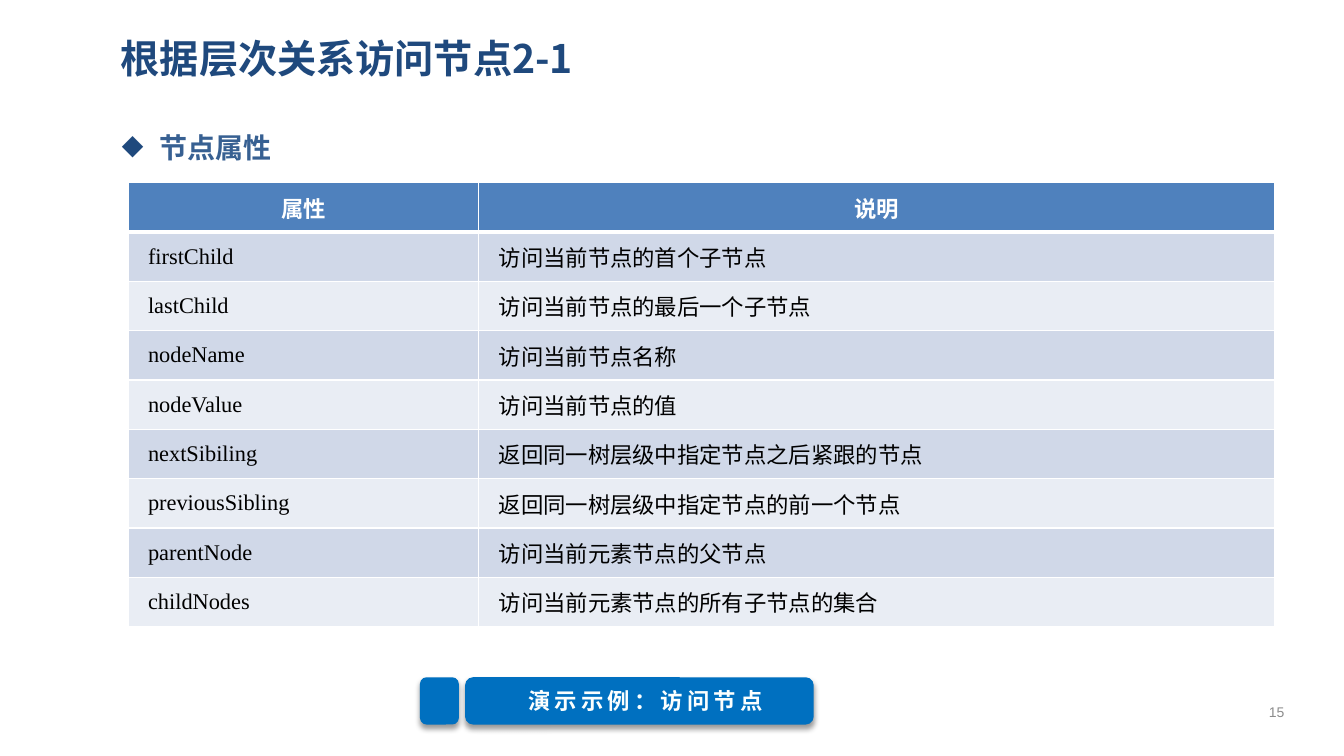
from lxml.etree import SubElement
from pptx import Presentation
from pptx.dml.color import RGBColor
from pptx.enum.shapes import MSO_SHAPE
from pptx.enum.text import MSO_ANCHOR, MSO_AUTO_SIZE, PP_ALIGN
from pptx.oxml import parse_xml
from pptx.oxml.ns import nsdecls, qn
from pptx.util import Pt

EMU_PER_PX = 9525
CJK_FONT = "Noto Sans CJK SC"
NAVY = "1F497D"
WHITE = "FFFFFF"

HEADER = ("属性", "说明")
PROPERTIES = [
    ("firstChild", "访问当前节点的首个子节点"),
    ("lastChild", "访问当前节点的最后一个子节点"),
    ("nodeName", "访问当前节点名称"),
    ("nodeValue", "访问当前节点的值"),
    ("nextSibiling", "返回同一树层级中指定节点之后紧跟的节点"),
    ("previousSibling", "返回同一树层级中指定节点的前一个节点"),
    ("parentNode", "访问当前元素节点的父节点"),
    ("childNodes", "访问当前元素节点的所有子节点的集合"),
]


def px(length):
    return length * EMU_PER_PX


def color(value):
    return RGBColor.from_string(value)


def place(shape, left, top, width, height):
    shape.left, shape.top = px(left), px(top)
    shape.width, shape.height = px(width), px(height)


def write(frame, text, size, font, text_color, bold=False, align=PP_ALIGN.LEFT):
    frame.text = text
    para = frame.paragraphs[0]
    para.alignment = align
    span = para.runs[0]
    span.font.size = Pt(size)
    span.font.bold = bold
    span.font.color.rgb = color(text_color)
    span.font.name = font
    properties = span._r.get_or_add_rPr()
    SubElement(properties, qn("a:ea")).set("typeface", CJK_FONT)
    return para


def set_insets(target, side, top):
    target.margin_left = target.margin_right = px(side)
    target.margin_top = target.margin_bottom = px(top)


def add_title(page, text):
    title = page.shapes.title
    place(title, 106, 23, 1118, 64)
    frame = title.text_frame
    frame.auto_size = MSO_AUTO_SIZE.NONE
    frame.vertical_anchor = MSO_ANCHOR.MIDDLE
    set_insets(frame, 9, 4)
    write(frame, text, 28, CJK_FONT, NAVY, True)


def add_text_box(shapes, left, top, width, height):
    box = shapes.add_textbox(px(left), px(top), px(width), px(height))
    frame = box.text_frame
    frame.word_wrap = True
    set_insets(frame, 9, 4)
    return frame


def add_bullet(page, text):
    frame = add_text_box(page.shapes, 107, 114, 1118, 559)
    para = write(frame, text, 20, CJK_FONT, "376092", True)
    para.line_spacing = 1.2
    para.space_before = Pt(4)
    properties = para._p.get_or_add_pPr()
    properties.set("marL", str(px(36)))
    properties.set("indent", str(px(-36)))
    bullet_color = SubElement(properties, qn("a:buClr"))
    SubElement(bullet_color, qn("a:srgbClr")).set("val", NAVY)
    SubElement(properties, qn("a:buChar")).set("char", "◆")


def set_borders(cell, widths):
    properties = cell._tc.get_or_add_tcPr()
    for index, (side, width) in enumerate(widths.items()):
        border = parse_xml(
            f'<a:ln{side} {nsdecls("a")} w="{Pt(width)}"><a:solidFill>'
            f'<a:srgbClr val="{WHITE}"/></a:solidFill></a:ln{side}>'
        )
        properties.insert(index, border)


def fill_cell(cell, text, row, column):
    is_header = row == 0
    cell.vertical_anchor = MSO_ANCHOR.MIDDLE
    set_insets(cell, 8 if is_header else 7, 0)
    if is_header:
        fill = "4F81BD"
        write(cell.text_frame, text, 16, "Arial", WHITE, True, PP_ALIGN.CENTER)
    else:
        fill = "D0D8E8" if row % 2 else "E9EDF4"
        para = write(cell.text_frame, text, 16, "Times New Roman", "000000",
                     align=PP_ALIGN.JUSTIFY)
        para._p.get_or_add_pPr().set("marL", str(px(12)))
    cell.fill.solid()
    cell.fill.fore_color.rgb = color(fill)
    set_borders(cell, {"L": 1, "R": 1, "T": 3 if row == 1 else 1, "B": 3 if is_header else 1})


def add_property_table(page):
    rows = [HEADER, *PROPERTIES]
    widths = (334, 758)
    row_height = 47
    frame = page.shapes.add_table(len(rows), len(widths), px(122), px(174),
                                  px(sum(widths)), px(row_height * len(rows)))
    table = frame.table
    for column, width in enumerate(widths):
        table.columns[column].width = px(width)
    for row, texts in enumerate(rows):
        table.rows[row].height = px(row_height)
        for column, text in enumerate(texts):
            fill_cell(table.cell(row, column), text, row, column)


def add_button_block(group, left, width):
    block = group.shapes.add_shape(MSO_SHAPE.ROUNDED_RECTANGLE,
                                   px(left), px(645), px(width), px(45))
    block.fill.solid()
    block.fill.fore_color.rgb = color("0070C0")
    block.line.fill.background()
    block._element.spPr.append(parse_xml(
        f'<a:effectLst {nsdecls("a")}><a:outerShdw blurRad="{Pt(4)}" dist="{Pt(3)}" '
        'dir="5400000" rotWithShape="0"><a:srgbClr val="000000">'
        '<a:alpha val="40000"/></a:srgbClr></a:outerShdw></a:effectLst>'
    ))


def add_demo_button(page, text):
    group = page.shapes.add_group_shape()
    for left, width in ((400, 37), (443, 332)):
        add_button_block(group, left, width)
    frame = add_text_box(group.shapes, 490, 650, 250, 36)
    frame.word_wrap = False
    para = write(frame, text, 16, CJK_FONT, "FBFFFE", True, PP_ALIGN.CENTER)
    para.runs[0]._r.get_or_add_rPr().set("spc", "300")


def add_page_number(page, text):
    frame = add_text_box(page.shapes, 1185, 659, 62, 38)
    frame.vertical_anchor = MSO_ANCHOR.MIDDLE
    write(frame, text, 10, "Arial", "8C8C8C", align=PP_ALIGN.CENTER)


def main():
    deck = Presentation()
    deck.slide_width, deck.slide_height = px(1280), px(720)
    page = deck.slides.add_slide(deck.slide_layouts[5])
    add_title(page, "根据层次关系访问节点2-1")
    add_bullet(page, "节点属性")
    add_property_table(page)
    add_demo_button(page, "演示示例：访问节点")
    add_page_number(page, "15")
    deck.save("out.pptx")


if __name__ == "__main__":
    main()
